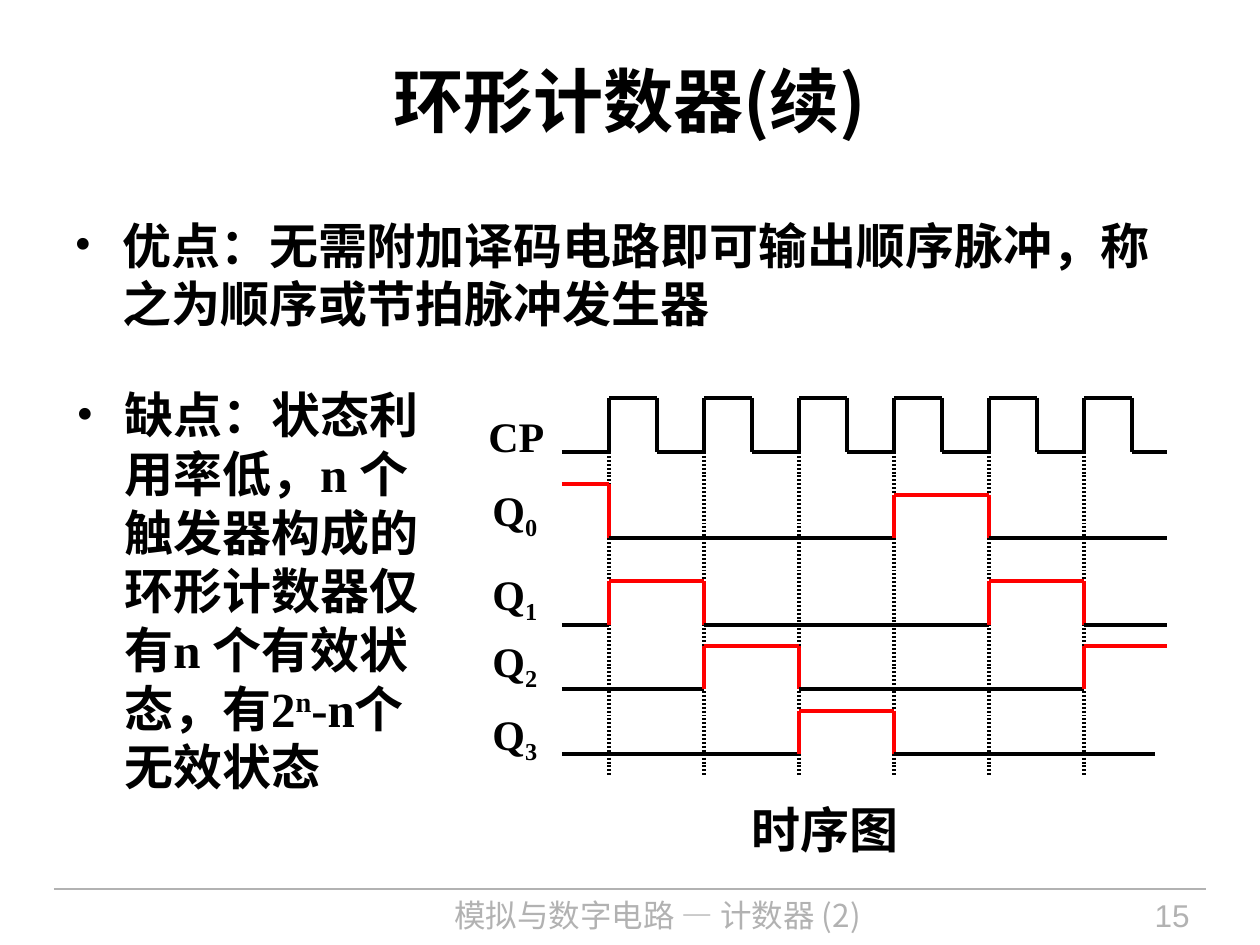
from pptx import Presentation
from pptx.dml.color import RGBColor
from pptx.enum.shapes import MSO_CONNECTOR
from pptx.enum.text import MSO_ANCHOR, PP_ALIGN
from pptx.oxml.ns import qn
from pptx.util import Pt
from lxml import etree

STRAIGHT = MSO_CONNECTOR.STRAIGHT
TOP, MIDDLE = MSO_ANCHOR.TOP, MSO_ANCHOR.MIDDLE
LEFT, CENTER, RIGHT = PP_ALIGN.LEFT, PP_ALIGN.CENTER, PP_ALIGN.RIGHT

SCALE = 914400 / 126
COLORS = {"ink": "000000", "pulse": "FF0000", "foot": "B2B2B2"}
SERIF, SANS, HAN = "Times New Roman", "Arial", "Noto Sans CJK SC"


def px(n):
    return round(n * SCALE)


def color(name):
    return RGBColor.from_string(COLORS[name])


class Board:
    def __init__(self, slide):
        self.shapes = slide.shapes

    def line(self, x1, y1, x2, y2, ink="ink", width=2.25, dotted=False):
        link = self.shapes.add_connector(STRAIGHT, px(x1), px(y1), px(x2), px(y2))
        link.line.color.rgb = color(ink)
        link.line.width = Pt(width)
        props = link._element.spPr
        if dotted:
            dash = etree.SubElement(props.find(qn("a:ln")), qn("a:custDash"))
            etree.SubElement(dash, qn("a:ds"), d="50000", sp="50000")
        etree.SubElement(props, qn("a:effectLst"))

    def wave(self, start, end, low, pulses, ink="pulse", joint=None):
        """Draw a signal; each pulse is (rise, fall, high).

        A joint is where a low stretch is drawn in two pieces.
        """
        x = start
        for rise, fall, high in pulses:
            if rise > start:
                self.flat(x, rise, low, joint)
                self.line(rise, low, rise, high, ink)
            self.line(rise, high, fall, high, ink)
            if fall < end:
                self.line(fall, high, fall, low, ink)
            x = fall
        if x < end:
            self.flat(x, end, low, joint)

    def flat(self, left, right, low, joint):
        stops = [left, right]
        if joint and left < joint < right:
            stops.insert(1, joint)
        for a, b in zip(stops, stops[1:]):
            self.line(a, low, b, low)

    def text(self, box, runs, size, font=SERIF, ink="ink", bold=True, align=LEFT,
             anchor=TOP, pitch=None, bullet=False):
        """Write runs of (text, baseline percent, font or None)."""
        frame = self.shapes.add_textbox(*map(px, box)).text_frame
        frame.word_wrap = True
        frame.vertical_anchor = anchor
        par = frame.paragraphs[0]
        if bullet:
            self.bullet(par)
            par.space_after = Pt(7)
        par.alignment = align
        if pitch:
            par.line_spacing = Pt(pitch)
        for words, base, face in runs:
            run = par.add_run()
            run.text = words
            run.font.size = Pt(size)
            run.font.bold = bold
            run.font.name = face or font
            run.font.color.rgb = color(ink)
            props = run._r.get_or_add_rPr()
            etree.SubElement(props, qn("a:ea"), typeface=HAN)
            if base:
                props.set("baseline", str(base * 1000))

    def bullet(self, par):
        props = par._p.get_or_add_pPr()
        props.set("marL", str(px(48)))
        props.set("indent", str(px(-48)))
        tint = etree.SubElement(props, qn("a:buClr"))
        etree.SubElement(tint, qn("a:srgbClr"), val=COLORS["ink"])
        etree.SubElement(props, qn("a:buFont"), typeface=SERIF)
        etree.SubElement(props, qn("a:buChar"), char="•")


def main():
    deck = Presentation()
    deck.slide_width, deck.slide_height = px(1260), px(945)
    board = Board(deck.slides.add_slide(deck.slide_layouts[6]))

    # Footer
    board.line(54, 889, 1206, 889, "foot", 0.75)
    board.text((303, 890, 709, 55), [("模拟与数字电路 — 计数器 (2)", 0, None)], 18,
               HAN, "foot", False, CENTER)
    board.text((1034, 890, 168, 55), [("15", 0, None)], 18, SANS, "foot", False, RIGHT)

    # Title and points
    board.text((63, 21, 1134, 158), [("环形计数器", 0, None), ("(续)", 0, HAN)], 40,
               align=CENTER, anchor=MIDDLE)
    board.text((62, 209, 1134, 159),
               [("优点：无需附加译码电路即可输出顺序脉冲，称之为顺序或节拍脉冲发生器", 0, None)],
               28, pitch=33.5, bullet=True)
    board.text((64, 379, 397, 501),
               [("缺点：状态利用率低，n 个触发器构成的环形计数器仅有n 个有效状态，有2", 0, None),
                ("n", 30, None), ("-n个无效状态", 0, None)],
               28, pitch=33.5, bullet=True)

    # Clock and its edges
    start, end = 562, 1167
    edges = [609 + 95 * i for i in range(6)]
    for x in edges:
        board.line(x, 452, x, 775, dotted=True)
    board.wave(start, end, 452, [(x, x + 48, 398) for x in edges], "ink")
    board.text((476, 404, 90, 63), [("CP", 0, None)], 24)

    # Outputs: label top, low level, right end, joint, pulses
    e = edges
    rows = [
        (478, 538, end, None, [(start, e[0], 484), (e[3], e[4], 495)]),
        (562, 625, end, None, [(e[0], e[1], 581), (e[4], e[5], 581)]),
        (629, 689, end, e[4], [(e[1], e[2], 646), (e[5], end, 646)]),
        (702, 754, 1155, e[5], [(e[2], e[3], 711)]),
    ]
    for i, (top, low, stop, joint, pulses) in enumerate(rows):
        board.wave(start, stop, low, pulses, joint=joint)
        board.text((480, top, 80, 71), [("Q", 0, None), (str(i), -25, None)], 24)

    # Caption
    board.text((725, 793, 200, 72), [("时序图", 0, None)], 28, SANS, align=CENTER,
               pitch=33.5)

    deck.save("out.pptx")


if __name__ == "__main__":
    main()
